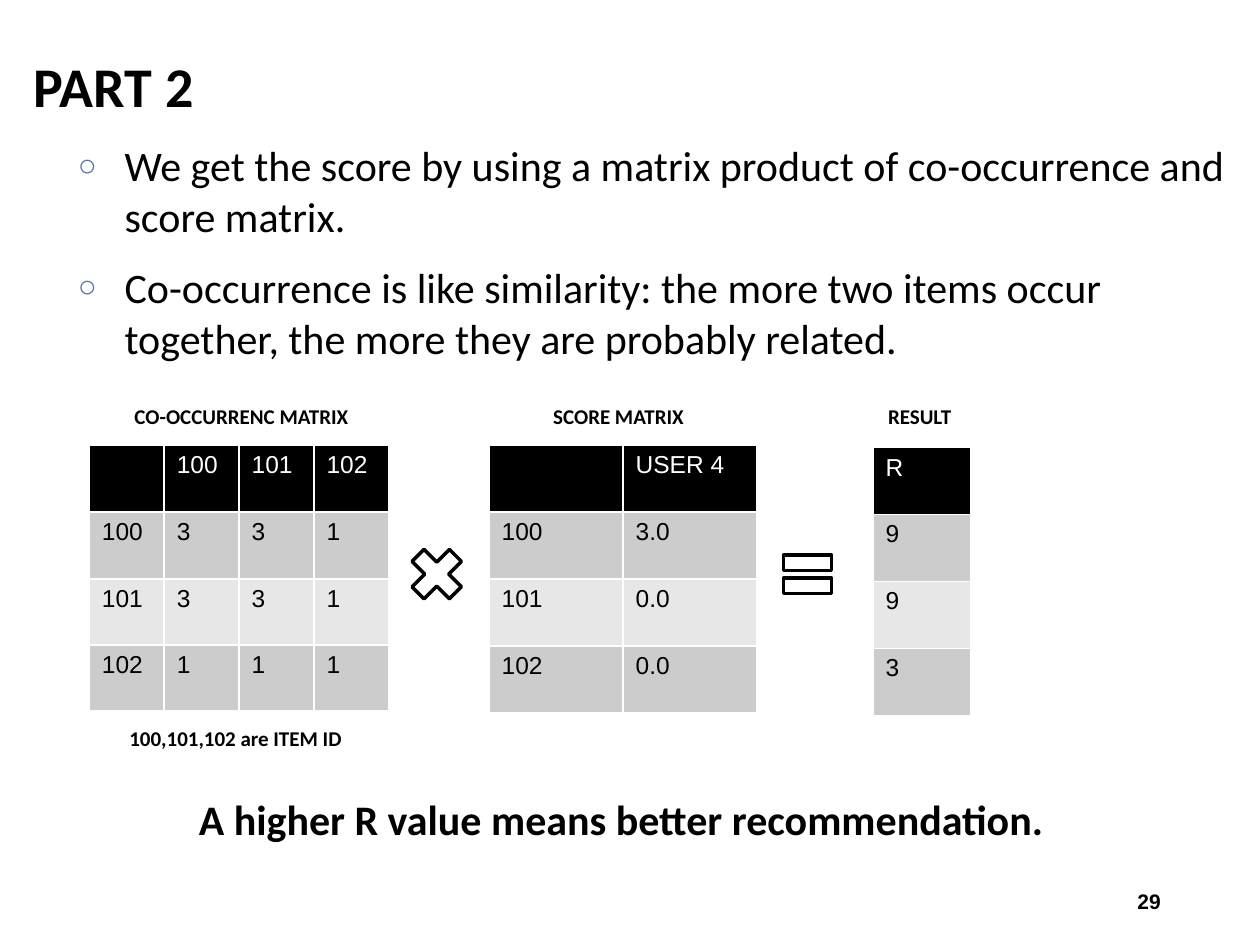
from lxml import etree
from pptx import Presentation
from pptx import util as u
from pptx.dml.color import RGBColor
from pptx.enum import shapes, text
from pptx.oxml import ns

COLORS = {"ink": "000000", "paper": "FFFFFF", "band": "CCCCCC",
          "pale": "E7E7E7", "bullet": "5675A9"}
LEFT, CENTER, RIGHT = text.PP_ALIGN.LEFT, text.PP_ALIGN.CENTER, text.PP_ALIGN.RIGHT
TOP, MIDDLE = text.MSO_ANCHOR.TOP, text.MSO_ANCHOR.MIDDLE


def color(name):
    return RGBColor.from_string(COLORS[name])


class MatrixPage:
    def __init__(self, deck):
        self.page = deck.slides.add_slide(deck.slide_layouts[1])
        self.heading_font = "Calibri"
        self.table_font = "Arial"

    def place(self, box, left, top, width, height):
        box.left, box.top = u.Cm(left), u.Cm(top)
        box.width, box.height = u.Cm(width), u.Cm(height)

    def set_lines(self, frame, lines, size, bold=None, font=None, ink="ink", align=LEFT):
        frame.text = "\n".join(lines)
        for para in frame.paragraphs:
            para.alignment = align
            for span in para.runs:
                span.font.name = font or self.heading_font
                span.font.size = u.Pt(size)
                span.font.bold = bold
                span.font.color.rgb = color(ink)

    def frame(self, box, anchor, inset):
        frame = box.text_frame
        frame.word_wrap = True
        frame.auto_size = text.MSO_AUTO_SIZE.NONE
        frame.vertical_anchor = anchor
        frame.margin_left = frame.margin_right = u.Cm(0.25)
        frame.margin_top = frame.margin_bottom = u.Cm(inset)
        return frame

    def title(self, words, area):
        box = self.page.shapes.title
        self.place(box, *area)
        self.set_lines(self.frame(box, MIDDLE, 0.13), [words], 32, True)

    def bullets(self, lines, area):
        box = self.page.placeholders[1]
        self.place(box, *area)
        frame = self.frame(box, TOP, 0.25)
        self.set_lines(frame, lines, 24, False)
        for para in frame.paragraphs:
            para.space_before = para.space_after = u.Pt(6)
            props = para._p.get_or_add_pPr()
            props.set("marL", str(u.Cm(0.94)))
            props.set("indent", str(u.Cm(-0.94)))
            tint = etree.SubElement(props, ns.qn("a:buClr"))
            etree.SubElement(tint, ns.qn("a:srgbClr"), val=COLORS["bullet"])
            etree.SubElement(props, ns.qn("a:buSzPct"), val="75000")
            etree.SubElement(props, ns.qn("a:buFont"), typeface="Arial")
            etree.SubElement(props, ns.qn("a:buChar"), char="○")

    def label(self, words, area, size=12, font=None, align=CENTER, anchor=TOP, inset=0.13):
        box = self.page.shapes.add_textbox(*map(u.Cm, area))
        self.set_lines(self.frame(box, anchor, inset), [words], size, True, font, align=align)

    def matrix(self, rows, left, top, column_width, heights):
        columns = len(rows[0])
        table = self.page.shapes.add_table(
            len(rows), columns, u.Cm(left), u.Cm(top),
            u.Cm(column_width * columns), u.Cm(sum(heights))).table
        for column in table.columns:
            column.width = u.Cm(column_width)
        for number, values in enumerate(rows):
            table.rows[number].height = u.Cm(heights[number])
            fill = "ink" if number == 0 else "band" if number % 2 else "pale"
            ink = "paper" if number == 0 else "ink"
            for position, value in enumerate(values):
                cell = table.cell(number, position)
                cell.fill.solid()
                cell.fill.fore_color.rgb = color(fill)
                if value:
                    self.set_lines(cell.text_frame, [value], 14, font=self.table_font, ink=ink)

    def operator(self, kind, left, top, size):
        sign = self.page.shapes.add_shape(kind, *map(u.Cm, (left, top, size, size)))
        sign.shadow.inherit = False
        sign.fill.solid()
        sign.fill.fore_color.rgb = color("paper")
        sign.line.color.rgb = color("ink")
        sign.line.width = u.Pt(2)


deck = Presentation()
deck.slide_width, deck.slide_height = u.Cm(25.4), u.Cm(19.05)
page = MatrixPage(deck)

page.title("PART 2", (0.43, 0.3, 24.13, 2.84))
page.bullets([
    "We\u00a0get the score by using\u00a0a\u00a0matrix product of co-occurrence and score matrix.",
    "Co-occurrence is like similarity: the more two items occur together, "
    "the more they are probably related.",
], (1.32, 2.57, 23.65, 4.93))

items = ["100", "101", "102"]
counts = [["3", "3", "1"], ["3", "3", "1"], ["1", "1", "1"]]
scores = ["3.0", "0.0", "0.0"]
even = [1.35] * 4
page.matrix([["", *items]] + [[item, *row] for item, row in zip(items, counts)],
            1.8, 8.97, 1.51, [1.35, 1.35, 1.33, 1.33])
page.matrix([["", "USER 4"], *zip(items, scores)], 9.86, 8.97, 2.7, even)
page.matrix([["R"], ["9"], ["9"], ["3"]], 17.6, 9.02, 1.96, even)

page.operator(shapes.MSO_SHAPE.MATH_MULTIPLY, 8.08, 10.85, 1.45)
page.operator(shapes.MSO_SHAPE.MATH_EQUAL, 15.62, 10.92, 1.32)

for words, left, top in [("CO-OCCURRENC MATRIX", 1.57, 8), ("SCORE MATRIX", 9.17, 8),
                         ("RESULT", 15.24, 8), ("100,101,102 are ITEM ID", 1.45, 14.5)]:
    page.label(words, (left, top, 6.6, 0.77))
page.label("A\u00a0higher R value means better recommendation.",
           (3.76, 15.75, 23.65, 2.26), 24, align=LEFT, inset=0.25)
page.label("29", (17.93, 17.65, 5.72, 1.02), font="Arial", align=RIGHT, anchor=MIDDLE)

deck.save("out.pptx")
